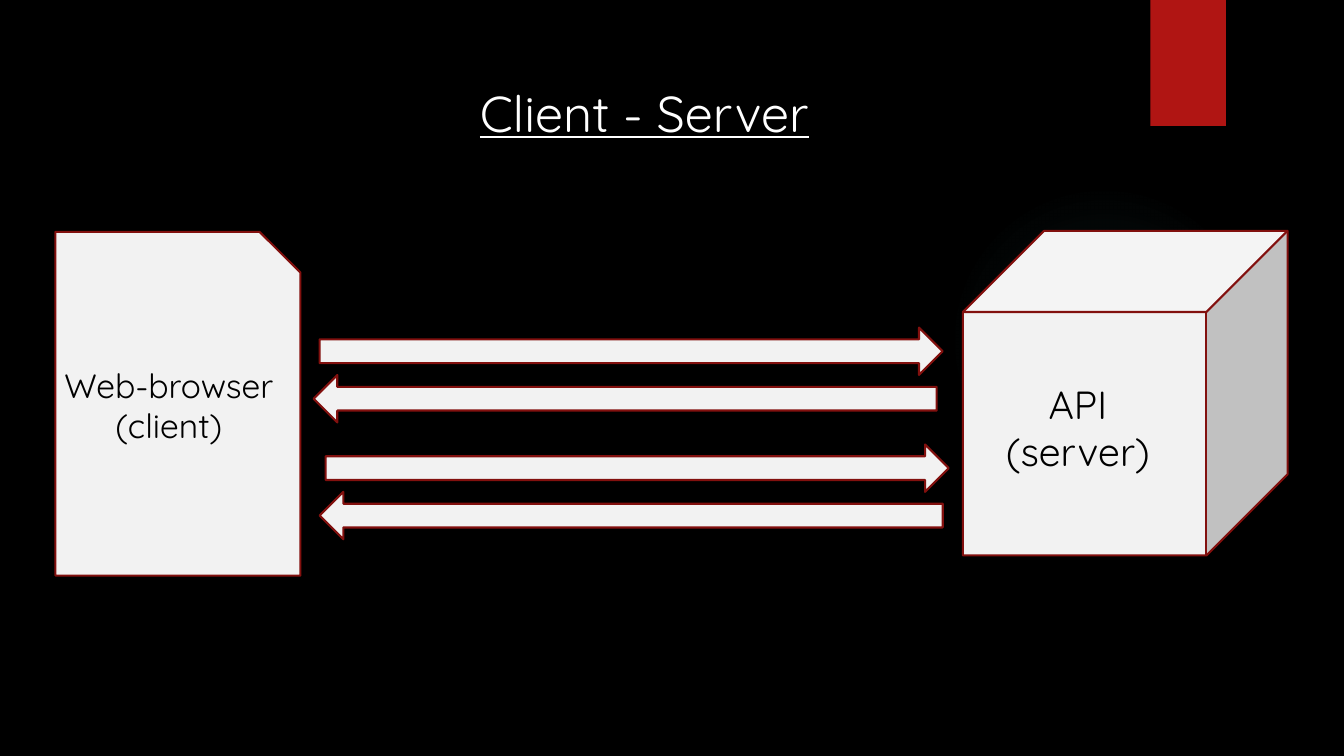
from lxml import etree
from pptx import Presentation
from pptx.dml.color import RGBColor
from pptx.enum.shapes import MSO_SHAPE
from pptx.enum.text import MSO_ANCHOR, PP_ALIGN
from pptx.util import Inches, Pt

NS = "http://schemas.openxmlformats.org/drawingml/2006/main"


def draw(parent, kind, box, fill, line=None):
    shape = parent.add_shape(kind, *map(Inches, box))
    shape.shadow.inherit = False
    shape.fill.solid()
    shape.fill.fore_color.rgb = RGBColor.from_string(fill)
    if line:
        shape.line.color.rgb = RGBColor.from_string(line)
        shape.line.width = Pt(1.5)
    else:
        shape.line.fill.background()
    return shape


def write(shape, lines, size, color, under=None):
    frame = shape.text_frame
    frame.vertical_anchor = MSO_ANCHOR.TOP
    para = frame.paragraphs[0]
    para.alignment = PP_ALIGN.CENTER
    for i, line in enumerate(lines):
        if i:
            para.add_line_break()
        run = para.add_run()
        run.text = line
        run.font.name = "Quicksand"
        run.font.size = Pt(size)
        run.font.underline = under
        run.font.color.rgb = RGBColor.from_string(color)


deck = Presentation()
deck.slide_width, deck.slide_height = Inches(13.33), Inches(7.5)
slide = deck.slides.add_slide(deck.slide_layouts[5])
slide.background.fill.solid()
slide.background.fill.fore_color.rgb = RGBColor.from_string("000000")
shapes = slide.shapes

# Soft glow behind the server
glow = draw(shapes, MSO_SHAPE.OVAL, (9.41, 1.83, 3.08, 3.08), "50B9C1")
stops = "".join(
    f'<a:gs pos="{pos}000"><a:srgbClr val="50B9C1"><a:alpha val="{alpha}000"/></a:srgbClr></a:gs>'
    for pos, alpha in ((0, 7), (36, 6), (69, 0)))
grad = etree.fromstring(
    f'<a:gradFill xmlns:a="{NS}"><a:gsLst>{stops}</a:gsLst><a:path path="circle">'
    '<a:fillToRect l="50000" t="50000" r="50000" b="50000"/></a:path></a:gradFill>')
solid = glow.element.spPr.find(f"{{{NS}}}solidFill")
solid.getparent().replace(solid, grad)

# Red tab
draw(shapes, MSO_SHAPE.RECTANGLE, (11.41, 0, 0.75, 1.25), "B01513")

# Title
title = shapes.title
title.left, title.top, title.width, title.height = map(Inches, (4.61, 0.76, 3.56, 0.71))
title.text_frame.word_wrap = False
write(title, ["Client - Server"], 36, "FFFFFF", True)

# Client and server; the client label sits left of its card's centre
nodes = (
    (MSO_SHAPE.SNIP_1_RECTANGLE, (0.55, 2.3, 2.43, 3.41),
     (0.55, 3.57, 2.43, 0.91), ["Web-browser", "(client)"], 24, (0, 0.18)),
    (MSO_SHAPE.CUBE, (9.55, 2.29, 3.22, 3.22),
     (9.8, 3.72, 1.78, 1.04), ["API", "(server)"], 28, (0.1, 0.1)),
)
for kind, box, area, lines, size, pad in nodes:
    group = shapes.add_group_shape().shapes
    draw(group, kind, box, "F2F2F2", "82100E")
    label = group.add_textbox(*map(Inches, area))
    frame = label.text_frame
    frame.word_wrap = True
    frame.margin_left, frame.margin_right = map(Inches, pad)
    write(label, lines, size, "000000")

# Two pairs of request and response arrows
for left, top in ((3.17, 3.25), (3.23, 4.41)):
    for step, turn in enumerate((0, 180)):
        box = (left - 0.06 * step, top + 0.47 * step, 6.18, 0.47)
        arrow = draw(shapes, MSO_SHAPE.RIGHT_ARROW, box, "F2F2F2", "82100E")
        arrow.rotation = turn

deck.save("out.pptx")
